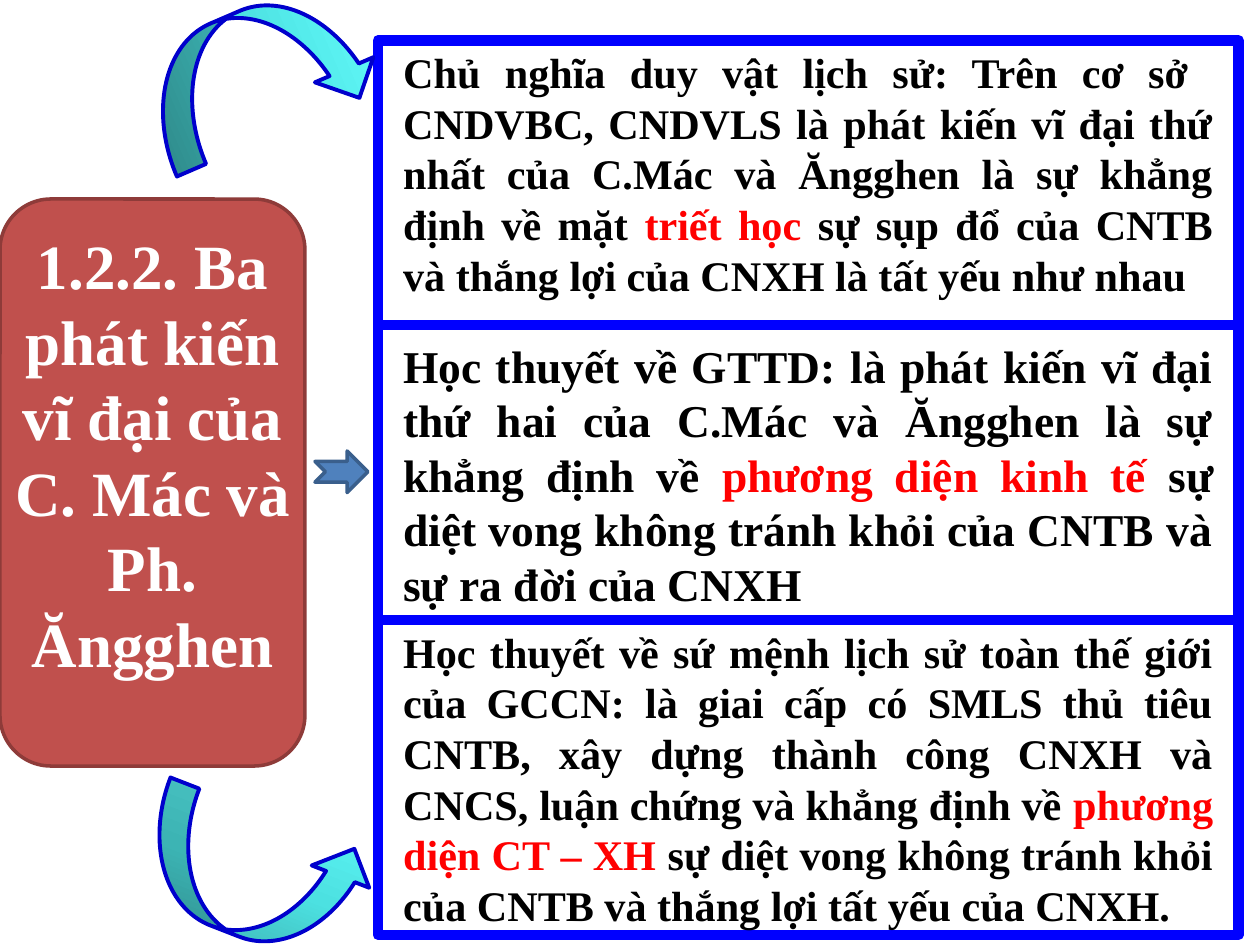
from copy import deepcopy

from pptx import Presentation
from pptx.dml.color import RGBColor
from pptx.enum import shapes, text
from pptx.util import Inches, Pt

FONT = "Times New Roman"
COLORS = {
    "white": "FFFFFF", "black": "000000", "accent": "FF0000",
    "frame": "0000FF", "topic": "C0504D", "topic_edge": "8E3B39",
    "pointer": "4F81BD", "pointer_edge": "3A5F8C", "curve_edge": "0000CC",
}
CURVE_STOPS = [(0, "369E9E"), (0.5, "4CE1E1"), (1, "66FFFF")]

# The three boxes share one column and are stacked from the top edge down
COLUMN_LEFT, COLUMN_WIDTH, COLUMN_TOP = 3, 6.83, 0.32

# Height, top inset, text size, then text before, in and after the accent
DISCOVERIES = [
    (2.26, 0.05, 24.1,
     "Chủ nghĩa duy vật lịch sử: Trên cơ sở  CNDVBC, CNDVLS là phát kiến vĩ đại "
     "thứ nhất của C.Mác và Ăngghen là sự khẳng định về mặt ",
     "triết học ",
     "sự sụp đổ của CNTB và thắng lợi của CNXH là tất yếu như nhau"),
    (2.34, 0.1, 26,
     "Học thuyết về GTTD: là phát kiến vĩ đại thứ hai của C.Mác và Ăngghen "
     "là sự khẳng định về ",
     "phương diện kinh tế ",
     "sự diệt vong không tránh khỏi của CNTB và sự ra đời của CNXH"),
    (2.5, 0.05, 24.1,
     "Học thuyết về sứ mệnh lịch sử toàn thế giới của GCCN: là giai cấp có SMLS "
     "thủ tiêu CNTB, xây dựng thành công CNXH và CNCS, luận chứng và khẳng định về ",
     "phương diện CT – XH ",
     "sự diệt vong không tránh khỏi của CNTB và thắng lợi tất yếu của CNXH."),
]


def rgb(name):
    return RGBColor.from_string(COLORS[name])


def add_block(page, kind, place, edge, weight, fill=None):
    """Add a preset shape with an outline and, if named, a solid fill."""
    box = page.shapes.add_shape(kind, *map(Inches, place))
    box.shadow.inherit = False
    box.line.color.rgb = rgb(edge)
    box.line.width = Pt(weight)
    if fill:
        box.fill.solid()
        box.fill.fore_color.rgb = rgb(fill)
    return box


def write(box, spans, size, align, side, top):
    """Fill the box with one paragraph of (text, colour) spans."""
    frame = box.text_frame
    frame.word_wrap = True
    frame.vertical_anchor = text.MSO_ANCHOR.TOP
    frame.margin_left = frame.margin_right = Inches(side)
    frame.margin_top, frame.margin_bottom = Inches(top), 0
    para = frame.paragraphs[0]
    para.alignment = align
    for words, color in spans:
        span = para.add_run()
        span.text = words
        span.font.name, span.font.size, span.font.bold = FONT, Pt(size), True
        span.font.color.rgb = rgb(color)


def add_curve(page, kind, place, rotation):
    """Add a curved arrow with a three-stop gradient."""
    arrow = add_block(page, kind, place, "curve_edge", 2.25)
    arrow.rotation = rotation
    arrow.fill.gradient()
    arrow.fill.gradient_angle = 0
    # A new gradient has two stops, so one more is cloned
    stops = arrow.fill._fill._gradFill.gsLst
    stops.append(deepcopy(stops[0]))
    for stop, (position, color) in zip(arrow.fill.gradient_stops, CURVE_STOPS):
        stop.position = position
        stop.color.rgb = RGBColor.from_string(color)


def add_discoveries(page):
    top = COLUMN_TOP
    for height, inset, size, before, accent, after in DISCOVERIES:
        box = add_block(page, shapes.MSO_SHAPE.RECTANGLE,
                        (COLUMN_LEFT, top, COLUMN_WIDTH, height), "frame", 6, "white")
        write(box, [(before, "black"), (accent, "accent"), (after, "black")],
              size, text.PP_ALIGN.JUSTIFY, 0.2, inset)
        top += height


def add_topic(page):
    box = add_block(page, shapes.MSO_SHAPE.ROUNDED_RECTANGLE,
                    (0, 1.58, 2.42, 4.5), "topic_edge", 2, "topic")
    write(box, [("1.2.2. Ba phát kiến vĩ đại của C. Mác và Ph. Ăngghen", "white")],
          36, text.PP_ALIGN.CENTER, 0, 0.1)


def main():
    deck = Presentation()
    deck.slide_width, deck.slide_height = Inches(10), Inches(7.5)
    page = deck.slides.add_slide(deck.slide_layouts[6])

    # Discoveries and their common topic
    add_discoveries(page)
    add_topic(page)

    # Arrows from the topic to each discovery
    add_curve(page, shapes.MSO_SHAPE.CURVED_DOWN_ARROW, (1.13, 0.07, 1.83, 1.01), 336.7)
    add_curve(page, shapes.MSO_SHAPE.CURVED_RIGHT_ARROW, (1.53, 6.05, 0.98, 1.81), 291.2)
    add_block(page, shapes.MSO_SHAPE.NOTCHED_RIGHT_ARROW,
              (2.5, 3.58, 0.42, 0.33), "pointer_edge", 2, "pointer")

    deck.save("out.pptx")


if __name__ == "__main__":
    main()
